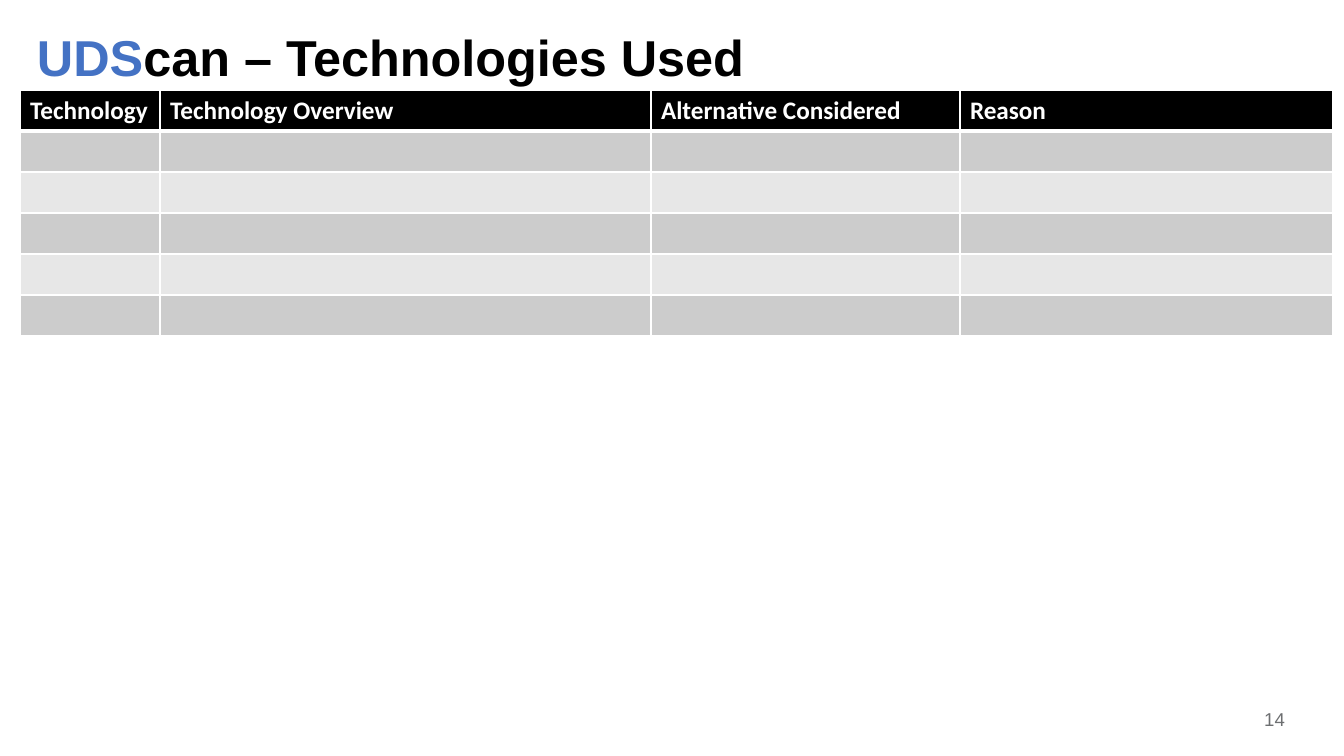
from dataclasses import dataclass

from lxml import etree
from pptx import Presentation
from pptx import util as u
from pptx.dml.color import RGBColor
from pptx.enum import text
from pptx.oxml.ns import qn

EMU_PER_PIXEL = 914400 / 100.8


@dataclass(frozen=True)
class Theme:
    heading_font: str = "Arial"
    table_font: str = "Calibri"
    accent: str = "4472C4"
    dark: str = "000000"
    light: str = "FFFFFF"
    muted: str = "6D6F71"
    bands: tuple = ("CCCCCC", "E7E7E7")
    title_size: float = 36
    table_size: float = 18
    number_size: float = 13.3
    thin_rule: float = 1
    thick_rule: float = 3


THEME = Theme()
HEADERS = ("Technology", "Technology Overview", "Alternative Considered", "Reason")
COLUMN_WIDTHS = (140, 491, 309, 373)
ROW_COUNT = 6
ROW_HEIGHT = 41


def px(pixels):
    return u.Emu(round(pixels * EMU_PER_PIXEL))


def add_span(para, words, font, size, color, bold=False):
    span = para.add_run()
    span.text = words
    span.font.name = font
    span.font.size = u.Pt(size)
    span.font.bold = bold
    span.font.color.rgb = RGBColor.from_string(color)


def add_text_box(page, left, top, width, height, side_inset, anchor):
    """Add a wrapping text box and return its first paragraph."""
    box = page.shapes.add_textbox(px(left), px(top), px(width), px(height))
    frame = box.text_frame
    frame.word_wrap = True
    frame.vertical_anchor = anchor
    frame.margin_left = frame.margin_right = px(side_inset)
    return frame.paragraphs[0]


def add_border(cell, side, points, color):
    properties = cell._tc.get_or_add_tcPr()
    line = etree.SubElement(properties, qn(f"a:ln{side}"), w=str(u.Pt(points)))
    fill = etree.SubElement(line, qn("a:solidFill"))
    etree.SubElement(fill, qn("a:srgbClr"), val=color)


def style_cell(cell, row):
    # Borders come before the fill in the cell properties
    thick_side = {0: "B", 1: "T"}.get(row)
    for side in "LRTB":
        points = THEME.thick_rule if side == thick_side else THEME.thin_rule
        add_border(cell, side, points, THEME.light)
    color = THEME.bands[(row - 1) % 2] if row else THEME.dark
    cell.fill.solid()
    cell.fill.fore_color.rgb = RGBColor.from_string(color)


def add_technology_table(page, left, top):
    table = page.shapes.add_table(
        ROW_COUNT, len(HEADERS), px(left), px(top),
        px(sum(COLUMN_WIDTHS)), px(ROW_COUNT * ROW_HEIGHT)).table
    for column, width in zip(table.columns, COLUMN_WIDTHS):
        column.width = px(width)
    for index, row in enumerate(table.rows):
        row.height = px(ROW_HEIGHT)
        for cell in row.cells:
            style_cell(cell, index)
    for cell, header in zip(table.rows[0].cells, HEADERS):
        add_span(cell.text_frame.paragraphs[0], header, THEME.table_font,
                 THEME.table_size, THEME.light, bold=True)


def main():
    deck = Presentation()
    deck.slide_width, deck.slide_height = px(1344), px(756)
    page = deck.slides.add_slide(deck.slide_layouts[6])

    # Page number
    number = add_text_box(page, 1248, 703, 47, 32, 10, text.MSO_ANCHOR.MIDDLE)
    number.alignment = text.PP_ALIGN.RIGHT
    add_span(number, "14", THEME.heading_font, THEME.number_size, THEME.muted)

    # Title
    title = add_text_box(page, 37, 28, 1273, 62, 0, text.MSO_ANCHOR.TOP)
    title.line_spacing = 0.9
    for words, color in (("UDS", THEME.accent),
                         ("can – Technologies Used", THEME.dark)):
        add_span(title, words, THEME.heading_font, THEME.title_size, color, bold=True)

    # Technology comparison
    add_technology_table(page, 20, 90)

    deck.save("out.pptx")


main()
